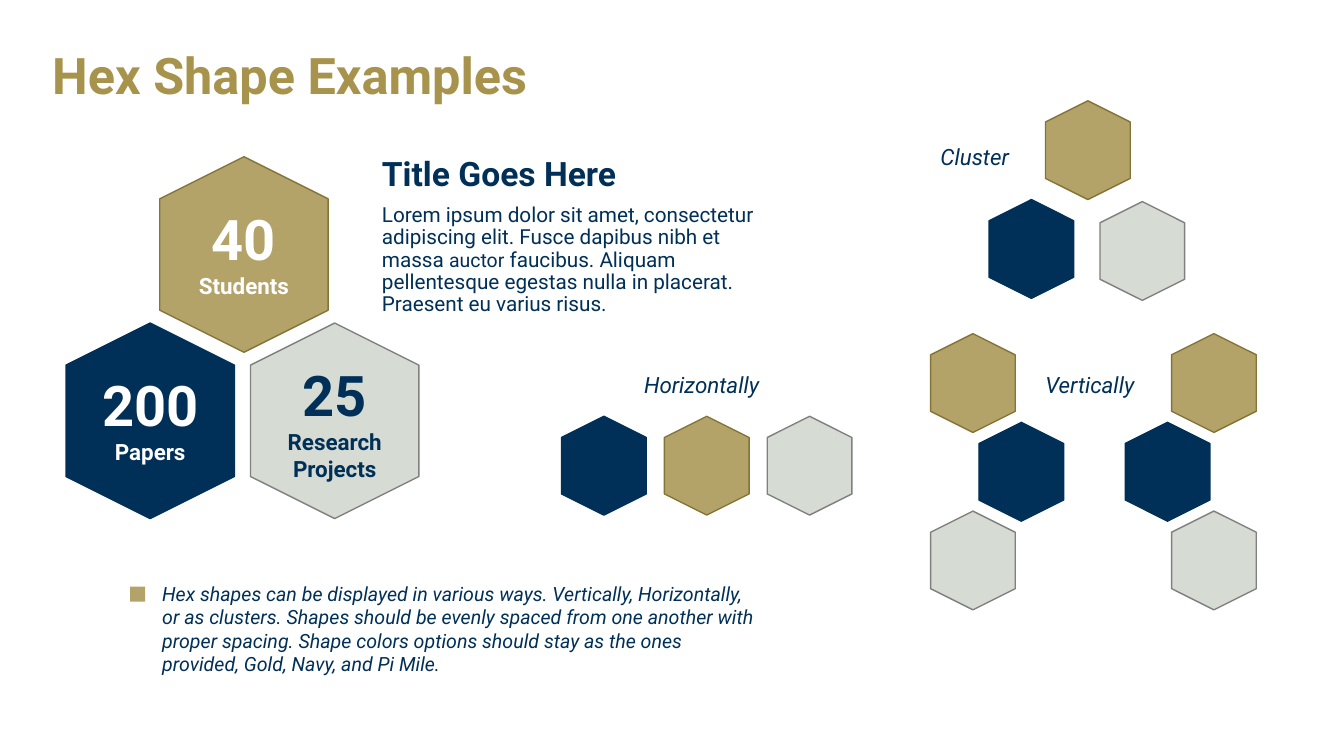
from pptx import Presentation
from pptx.dml.color import RGBColor
from pptx.enum.shapes import MSO_SHAPE
from pptx.enum.text import MSO_ANCHOR, MSO_AUTO_SIZE, PP_ALIGN
from pptx.util import Emu, Pt

GOLD = RGBColor(0xB3, 0xA3, 0x69)
GOLD_EDGE = RGBColor(0x85, 0x74, 0x37)
GOLD_TEXT = RGBColor(0xA7, 0x93, 0x4B)
NAVY = RGBColor(0x00, 0x30, 0x57)
PI_MILE = RGBColor(0xD6, 0xDB, 0xD4)
GREY = RGBColor(0x80, 0x80, 0x80)
WHITE = RGBColor(0xFF, 0xFF, 0xFF)
EDGES = {GOLD: GOLD_EDGE, NAVY: NAVY, PI_MILE: GREY}
LARGE_HEX = (194, 167)
SMALL_HEX = (98, 84)


class HexSlide:
    """Draws hexagons and text on one slide, with 100 px to the inch."""

    font_name = "Roboto"
    px = 9144

    def __init__(self, deck):
        self.slide = deck.slides.add_slide(deck.slide_layouts[6])

    def scaled(self, *lengths):
        return [Emu(length * self.px) for length in lengths]

    def block(self, preset, box, fill):
        block = self.slide.shapes.add_shape(preset, *self.scaled(*box))
        block.shadow.inherit = False
        block.fill.solid()
        block.fill.fore_color.rgb = fill
        block.line.fill.background()
        return block

    def hexagon(self, left, top, size, fill, rotation=270):
        hexagon = self.block(MSO_SHAPE.HEXAGON, (left, top, *size), fill)
        hexagon.rotation = rotation
        hexagon.line.color.rgb = EDGES[fill]
        hexagon.line.width = Pt(1)

    def text(self, box, paragraphs, color, layout=None, frame=None, **style):
        words = self.slide.shapes.add_textbox(*self.scaled(*box)).text_frame
        for key, value in {"word_wrap": True, **(frame or {})}.items():
            setattr(words, key, value)
        for index, runs in enumerate(paragraphs):
            paragraph = words.add_paragraph() if index else words.paragraphs[0]
            for key, value in (layout or {}).items():
                setattr(paragraph, key, value)
            for wording, size in runs:
                run = paragraph.add_run()
                run.text = wording
                run.font.color.rgb = color
                values = {"name": self.font_name, "size": Pt(size), **style}
                for key, value in values.items():
                    setattr(run.font, key, value)

    def statistic(self, left, top, fill, color, number, label, rise=0):
        self.hexagon(left, top, LARGE_HEX, fill)
        self.text((left + 18, top + 29 - rise, 158, 104),
                  [[(number, 40)], [(label, 16)]], color,
                  {"alignment": PP_ALIGN.CENTER}, GROW, bold=True)

    def caption(self, box, wording, size=16):
        self.text(box, [[(wording, size)]], NAVY, frame=GROW, italic=True)


GROW = {"auto_size": MSO_AUTO_SIZE.SHAPE_TO_FIT_TEXT}
TIGHT = {"line_spacing": 0.9}


def main():
    deck = Presentation()
    deck.slide_width, deck.slide_height = Emu(1333 * HexSlide.px), Emu(750 * HexSlide.px)
    page = HexSlide(deck)

    page.text((42, 22, 1250, 111), [[("Hex Shape Examples", 36)]], GOLD_TEXT,
              TIGHT, {"vertical_anchor": MSO_ANCHOR.MIDDLE}, bold=True)
    page.text((369, 151, 397, 47), [[("Title Goes Here", 24)]], NAVY, TIGHT, bold=True)
    page.text((369, 198, 415, 127), [[
        ("Lorem ipsum dolor sit amet, consectetur adipiscing elit. "
         "Fusce dapibus nibh et massa ", 14.8),
        ("auctor", 13.9),
        (" faucibus. Aliquam pellentesque egestas nulla in placerat. "
         "Praesent eu varius risus.", 14.8),
    ]], NAVY, TIGHT)

    page.statistic(145, 169, GOLD, WHITE, "40", "Students")
    page.statistic(52, 334, NAVY, WHITE, "200", "Papers")
    page.statistic(235, 334, PI_MILE, NAVY, "25", "Research Projects", rise=10)

    page.block(MSO_SHAPE.RECTANGLE, (129, 582, 15, 15), GOLD)
    page.caption((151, 572, 609, 104),
                 "Hex shapes can be displayed in various ways. Vertically, Horizontally, "
                 "or as clusters. Shapes should be evenly spaced from one another with "
                 "proper spacing. Shape colors options should stay as the ones provided, "
                 "Gold, Navy, and Pi Mile.", 14)

    page.caption((923, 137, 100, 37), "Cluster")
    for left, top, fill in ((1030, 107, GOLD), (974, 205, NAVY), (1084, 207, PI_MILE)):
        page.hexagon(left, top, SMALL_HEX, fill)

    page.caption((629, 363, 144, 37), "Horizontally")
    for column, fill in enumerate((NAVY, GOLD, PI_MILE)):
        page.hexagon(550 + 102 * column, 420, SMALL_HEX, fill)

    page.caption((1027, 363, 114, 37), "Vertically")
    for outer, inner, rotation in ((916, 964, 270), (1155, 1109, 90)):
        for row, (left, fill) in enumerate(((outer, GOLD), (inner, NAVY), (outer, PI_MILE))):
            page.hexagon(left, 338 + 88 * row, SMALL_HEX, fill, rotation)

    deck.save("out.pptx")


if __name__ == "__main__":
    main()
